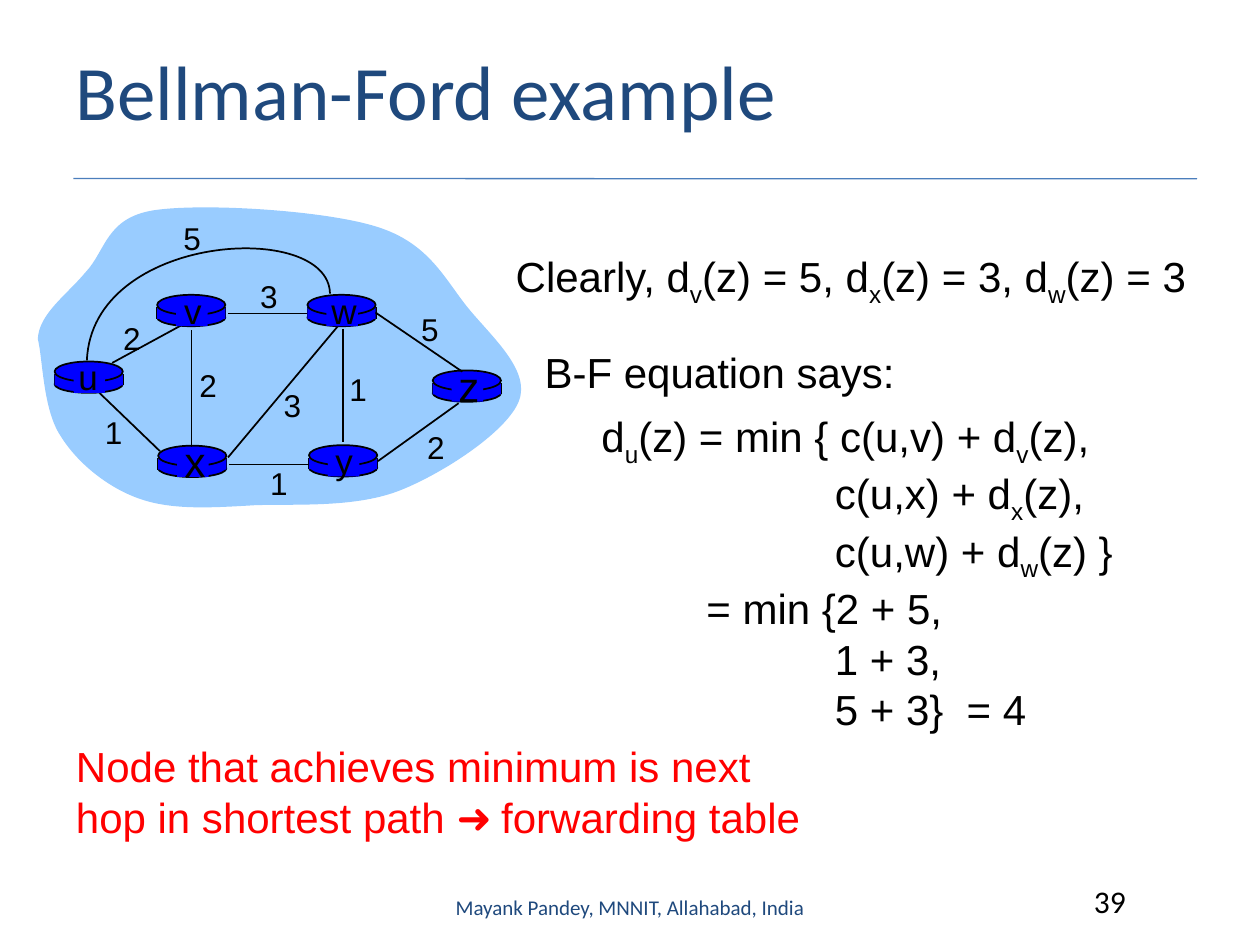
from typing import NamedTuple

from lxml.etree import SubElement
from pptx import Presentation
from pptx.dml.color import RGBColor
from pptx.enum.shapes import MSO_CONNECTOR as CONN, MSO_SHAPE as SHAPE
from pptx.enum.text import MSO_ANCHOR as ANCHOR, PP_ALIGN as ALIGN
from pptx.oxml.ns import qn
from pptx.util import Pt

BLACK = RGBColor(0x00, 0x00, 0x00)
BLUE = RGBColor(0x00, 0x00, 0xFF)
CLOUD_BLUE = RGBColor(0x99, 0xCC, 0xFF)
NAVY = RGBColor(0x1F, 0x49, 0x7D)
RULE_BLUE = RGBColor(0x4B, 0x7E, 0xBC)
RED = RGBColor(0xFF, 0x00, 0x00)

ARROW, ARROW_FONT = "➜", "Noto Sans CJK JP"
ROUTER_W = 39


class Router(NamedTuple):
    name: str
    x: float
    y: float
    label_dx: float  # from left edge to label centre
    size: int = 20


class Link(NamedTuple):
    x1: float
    y1: float
    x2: float
    y2: float


class Cost(NamedTuple):
    text: str
    x: float  # centre
    y: float


class Line(NamedTuple):
    text: str  # "_" lowers the next character
    indent: float = 0


ROUTERS = [
    Router("u", 31.2, 206.6, 19.2), Router("x", 90.4, 254.7, 21, 24),
    Router("v", 89.8, 168.5, 20.4), Router("w", 175.7, 168.5, 19.5),
    Router("y", 176.6, 254.4, 20.1), Router("z", 247.3, 211.7, 20.6, 24),
]
LINK_UV = Link(64.1, 207.4, 106.6, 184.3)
LINKS = [
    Link(196.1, 187.9, 196.1, 252.7), Link(109.4, 188.6, 109.4, 255.6),
    Link(130.3, 261.4, 193, 186.5), Link(216, 263.5, 262.1, 230.4),
    Link(176.4, 265.4, 131, 265.4), Link(91.4, 257.8, 56.9, 224.6),
    Link(175.7, 179.2, 130.3, 179.2), Link(264.2, 212.4, 214.6, 178.6),
]
COSTS = [
    Cost("2", 75.4, 193), Cost("2", 118.9, 220.3), Cost("1", 65, 247),
    Cost("3", 167, 231.5), Cost("1", 159.4, 275.8), Cost("1", 204.6, 222.5),
    Cost("2", 249, 255.6), Cost("5", 245.6, 187.9), Cost("3", 153.7, 169.2),
    Cost("5", 109.8, 136.1),
]
# Bezier outlines: a start point, then two handles and an end per segment
CLOUD = [
    (21.6, 193.7), (22.3, 179.3), (38.2, 168.5), (49, 155.5),
    (60.5, 143.3), (60.5, 124.6), (87.8, 120.2),
    (115.9, 115.9), (185.8, 120.2), (215.3, 129.6),
    (245.5, 139), (254.2, 159.8), (267.8, 176.4),
    (281.5, 193), (303.1, 211.7), (296.6, 229),
    (290.2, 246.2), (254.2, 270), (229, 280.1),
    (203.8, 290.2), (170.6, 288), (146.2, 288.7),
    (121, 290.2), (98.6, 291.6), (79.9, 285.1),
    (61.2, 278.6), (43.9, 264.2), (34.6, 249.1),
    (24.5, 234), (24.5, 205.2), (21.6, 193.7),
]
ARC_UW = [(188.6, 167.8), (187.9, 125.3), (52.6, 133.2), (49.7, 205.9)]

EQUATION = [
    Line("d_u(z) = min { c(u,v) + d_v(z),"),
    Line("c(u,x) + d_x(z),", 133.4), Line("c(u,w) + d_w(z) }", 133.4),
    Line("= min {2 + 5,", 60), Line("1 + 3,", 133.4), Line("5 + 3}  = 4", 133.4),
]


def paint(sp, fill: RGBColor | None, line: RGBColor | None) -> None:
    sp.shadow.inherit = False
    if fill is None:
        sp.fill.background()
    else:
        sp.fill.solid()
        sp.fill.fore_color.rgb = fill
    if line is None:
        sp.line.fill.background()
    else:
        sp.line.color.rgb = line
        sp.line.width = Pt(1)


def add_block(shapes, kind, x: float, y: float, w: float, h: float, line=None) -> None:
    paint(shapes.add_shape(kind, Pt(x), Pt(y), Pt(w), Pt(h)), BLUE, line)


def add_line(shapes, link: Link, color: RGBColor = BLACK, width: float = 1) -> None:
    cx = shapes.add_connector(CONN.STRAIGHT, *(Pt(v) for v in link))
    cx.line.color.rgb = color
    cx.line.width = Pt(width)
    SubElement(cx._element.spPr, qn("a:effectLst"))


def add_curve(shapes, points: list, fill=None, line=None) -> None:
    start, *others = [(Pt(x), Pt(y)) for x, y in points]
    fb = shapes.build_freeform(*start)
    fb.add_line_segments(others, close=fill is not None)
    sp = fb.convert_to_shape()
    # Merge every three straight segments into one Bezier segment
    segments = list(sp._element.iter(qn("a:lnTo")))
    for i in range(0, len(segments), 3):
        first, *more = segments[i:i + 3]
        first.tag = qn("a:cubicBezTo")
        for segment in more:
            first.append(segment[0])
            segment.getparent().remove(segment)
    paint(sp, fill, line)


def add_run(p, text: str, fmt: dict, color: RGBColor, baseline: int = 0) -> None:
    r = p.add_run()
    r.text = text
    for key, value in fmt.items():
        setattr(r.font, key, value)
    r.font.color.rgb = color
    if baseline:
        r._r.get_or_add_rPr().set("baseline", str(baseline))
    if ARROW in text:
        r.font.name = ARROW_FONT
        SubElement(r._r.get_or_add_rPr(), qn("a:ea")).set("typeface", ARROW_FONT)


def add_text(shapes, x: float, y: float, w: float, h: float, lines: list[Line], size: int = 24,
             font: str = "Arial", color: RGBColor = BLACK, align=ALIGN.LEFT,
             anchor=ANCHOR.TOP, wrap: bool = True) -> None:
    tf = shapes.add_textbox(Pt(x), Pt(y), Pt(w), Pt(h)).text_frame
    tf.word_wrap, tf.vertical_anchor = wrap, anchor
    fmt = {"name": font, "size": Pt(size)}
    for i, line in enumerate(lines):
        p = tf.paragraphs[0] if i == 0 else tf.add_paragraph()
        p.alignment = align
        if line.indent:
            p._p.get_or_add_pPr().set("marL", str(Pt(line.indent)))
        first, *rest = line.text.split("_")
        before, arrow, after = first.partition(ARROW)
        add_run(p, before, fmt, color)
        if arrow:
            add_run(p, arrow + " ", fmt, color)
            add_run(p, after.lstrip(), fmt, color)
        for part in rest:
            add_run(p, part[0], fmt, color, -25000)
            add_run(p, part[1:], fmt, color)


def add_label(shapes, text: str, cx: float, cy: float, size: int) -> None:
    w, h = 26, size * 1.2 + 7.2
    add_text(shapes, cx - w / 2, cy - h / 2, w, h, [Line(text)], size,
             align=ALIGN.CENTER, wrap=False)


def add_router(shapes, n: Router) -> None:
    add_block(shapes, SHAPE.OVAL, n.x, n.y + 7.9, ROUTER_W, 10, BLACK)
    for x in (n.x, n.x + ROUTER_W):
        add_line(shapes, Link(x, n.y + 7.2, x, n.y + 13.6))
    add_block(shapes, SHAPE.RECTANGLE, n.x, n.y + 7.2, ROUTER_W, 6.5)
    add_block(shapes, SHAPE.OVAL, n.x, n.y, ROUTER_W, 11.5, BLACK)


def main() -> None:
    prs = Presentation()
    prs.slide_width, prs.slide_height = Pt(720), Pt(540)
    slide = prs.slides.add_slide(prs.slide_layouts[5])
    shapes = slide.shapes

    # Title and rule
    title = shapes.title
    box = {"left": Pt(36), "top": Pt(12.2), "width": Pt(648), "height": Pt(78)}
    for key, value in box.items():
        setattr(title, key, value)
    title.text_frame.vertical_anchor = ANCHOR.MIDDLE
    p = title.text_frame.paragraphs[0]
    p.alignment = ALIGN.LEFT
    add_run(p, "Bellman-Ford example", {"name": "Calibri", "size": Pt(44)}, NAVY)
    add_line(shapes, Link(42, 102, 684, 102.2), RULE_BLUE, 0.75)

    # Network
    add_curve(shapes, CLOUD, fill=CLOUD_BLUE)
    add_line(shapes, LINK_UV)
    for router in ROUTERS:
        add_router(shapes, router)
    for link in LINKS:
        add_line(shapes, link)
    add_curve(shapes, ARC_UW, line=BLACK)
    for n in ROUTERS:
        add_block(shapes, SHAPE.RECTANGLE, n.x + 10.8, n.y + 1.4, 18, 16.5)
        add_label(shapes, n.name, n.x + n.label_dx, n.y + 8.8, n.size)
    for cost in COSTS:
        add_label(shapes, cost.text, cost.x, cost.y, 18)

    # Equations and conclusion
    add_text(shapes, 287.6, 139.7, 425, 36, [Line("Clearly, d_v(z) = 5, d_x(z) = 3, d_w(z) = 3")])
    add_text(shapes, 336.6, 231.1, 320, 180, EQUATION)
    add_text(shapes, 36.3, 419.8, 472, 65, [
        Line("Node that achieves minimum is next"),
        Line("hop in shortest path ➜ forwarding table")], color=RED)
    add_text(shapes, 304.1, 194.4, 217.4, 36, [Line("B-F equation says:")])

    # Footer
    add_text(shapes, 246, 504, 228, 28.8, [Line("Mayank Pandey, MNNIT, Allahabad, India")],
             12, "Calibri", NAVY, ALIGN.CENTER, ANCHOR.MIDDLE)
    add_text(shapes, 618, 500.4, 66, 28.8, [Line("39")], 18, "Calibri")

    prs.save("out.pptx")


if __name__ == "__main__":
    main()
